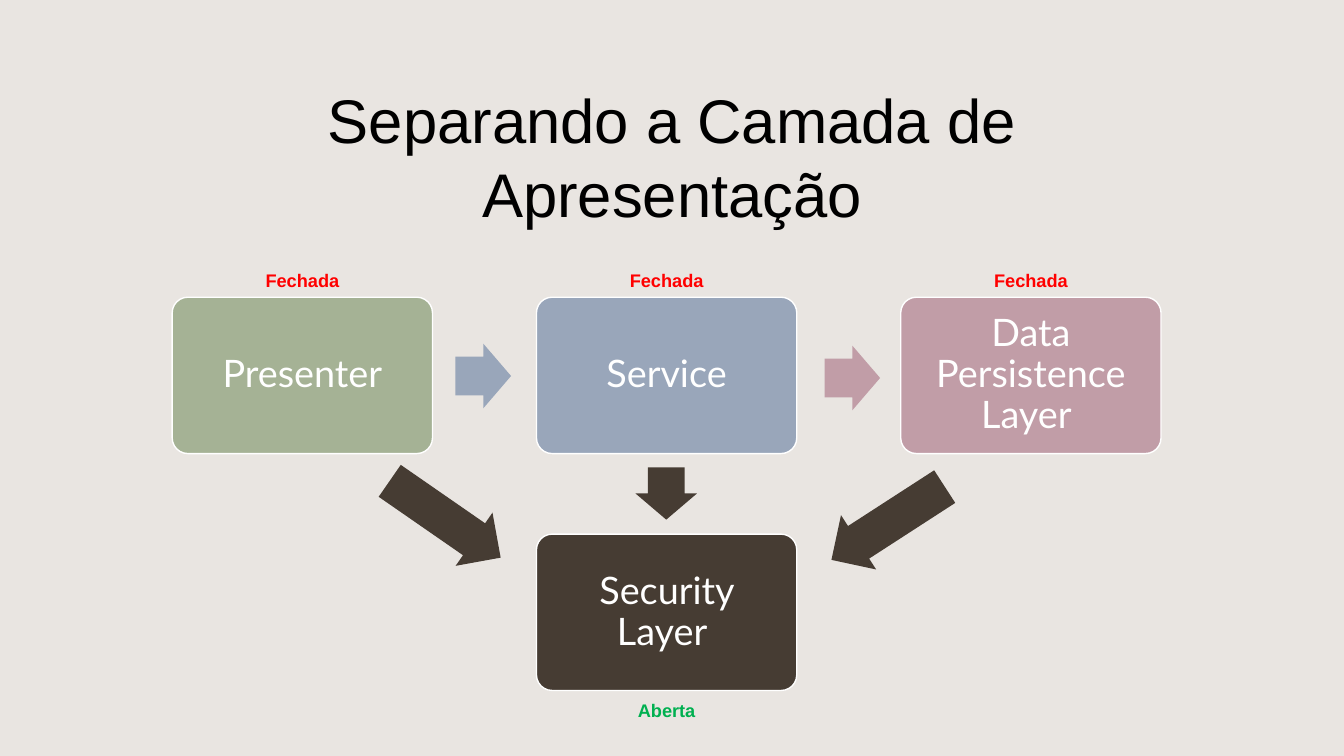
from pptx import Presentation
from pptx.dml.color import RGBColor as Rgb
from pptx.enum.shapes import MSO_SHAPE as Kind
from pptx.enum.text import MSO_ANCHOR as Anchor, PP_ALIGN as Align
from pptx.util import Cm, Pt

HUES = {
    "back": "E9E5E1", "black": "000000", "white": "FFFFFF",
    "green": "A5B295", "blue": "99A6BA", "pink": "C19DA7",
    "brown": "463C33", "closed": "FF0000", "open": "00B050",
}
WIDE, HIGH, STEP = 6.56, 3.94, 9.18


def hue(name):
    return Rgb.from_string(HUES[name])


def write(shape, text, font, size, tint, bold=False, pad=0.25):
    frame = shape.text_frame
    frame.word_wrap = True
    frame.vertical_anchor = Anchor.MIDDLE
    frame.margin_left = frame.margin_right = Cm(pad)
    frame.text = text
    para = frame.paragraphs[0]
    para.alignment = Align.CENTER
    para.font.name, para.font.size = font, Pt(size)
    para.font.bold = bold
    para.font.color.rgb = hue(tint)
    return para


def head(slide, x, y, w, h, text):
    title = slide.shapes.title
    title.left, title.top, title.width, title.height = map(Cm, (x, y, w, h))
    write(title, text, "Arial", 44, "black", pad=0.5)


def solid(slide, kind, x, y, w, h, tint):
    shape = slide.shapes.add_shape(kind, Cm(x), Cm(y), Cm(w), Cm(h))
    shape.shadow.inherit = False
    shape.fill.solid()
    shape.fill.fore_color.rgb = hue(tint)
    return shape


def arrow(slide, x, y, w, h, turn, tint):
    shape = solid(slide, Kind.RIGHT_ARROW, x, y, w, h, tint)
    shape.adjustments[0] = 0.6
    shape.adjustments[1] = 0.5
    shape.line.fill.background()
    shape.rotation = turn


def layer(slide, x, y, text, tint, state, mark, gap):
    card = solid(slide, Kind.ROUNDED_RECTANGLE, x, y, WIDE, HIGH, tint)
    card.adjustments[0] = 0.1
    card.line.color.rgb = hue("white")
    card.line.width = Pt(1)
    para = write(card, text, "Lato", 27, "white", pad=0.28)
    para.line_spacing = 0.9
    note = slide.shapes.add_textbox(Cm(x + 0.12), Cm(y + gap), Cm(WIDE - 0.24), Cm(0.81))
    write(note, state, "Arial", 13, mark, bold=True)


def diagram(slide, x, y):
    row = [("Presenter", "green"), ("Service", "blue"),
           ("Data Persistence Layer ", "pink")]
    for i, (text, tint) in enumerate(row):
        layer(slide, x + i * STEP, y, text, tint, "Fechada", "closed", -0.84)
    layer(slide, x + STEP, y + 5.97, "Security Layer ", "brown",
          "Aberta", "open", 4.02)
    for dx, dy, w, h, turn, tint in [
        (7.14, 1.17, 1.4, 1.63, 0, "blue"),
        (16.44, 1.22, 1.4, 1.63, 0, "pink"),
        (5.18, 4.78, 3.4, 1.63, 34.7, "brown"),
        (11.79, 4.17, 1.32, 1.55, 90, "brown"),
        (16.34, 4.88, 3.4, 1.63, 147.1, "brown"),
    ]:
        arrow(slide, x + dx, y + dy, w, h, turn, tint)


def main():
    deck = Presentation()
    deck.slide_width, deck.slide_height = Cm(33.87), Cm(19.05)
    slide = deck.slides.add_slide(deck.slide_layouts[5])
    slide.background.fill.solid()
    slide.background.fill.fore_color.rgb = hue("back")
    head(slide, 3.05, 1.07, 27.79, 5.72, "Separando a Camada de Apresentação")
    diagram(slide, 4.34, 7.49)
    deck.save("out.pptx")


if __name__ == "__main__":
    main()
